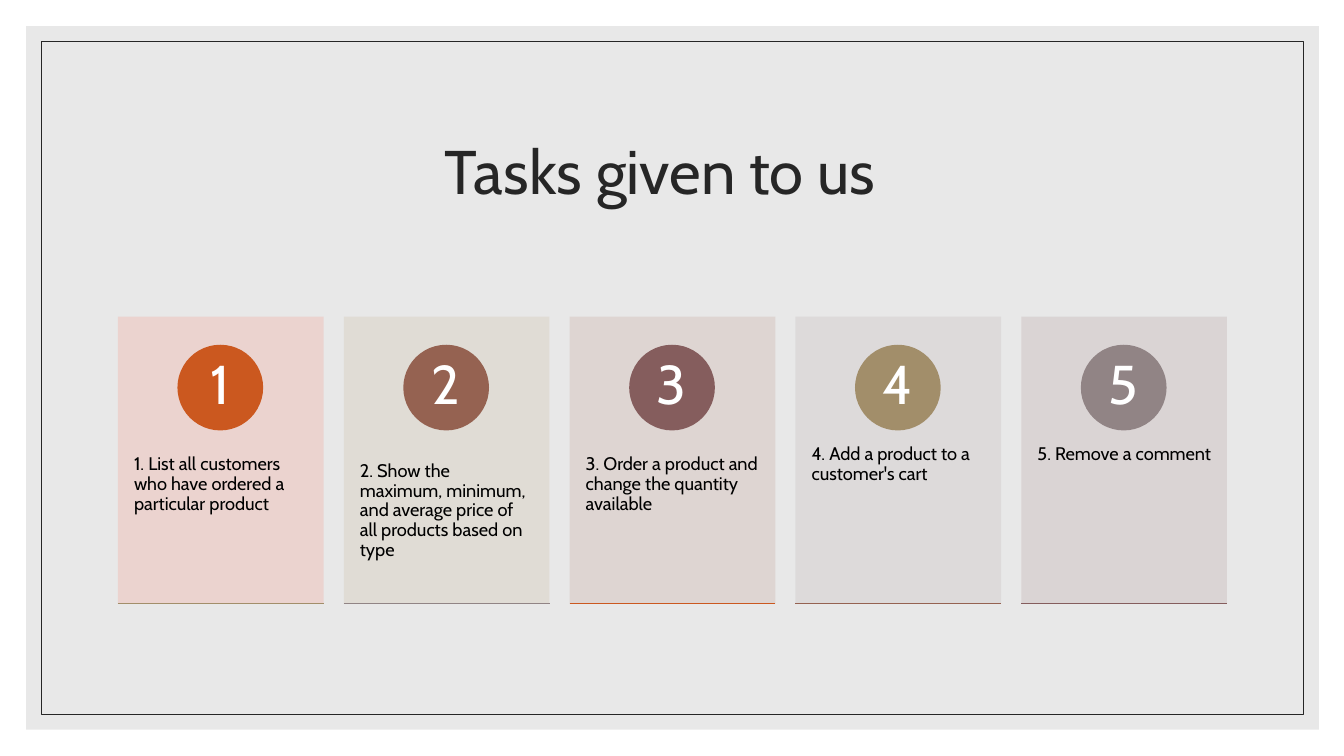
import dataclasses

import pptx
import pptx.dml.color
import pptx.enum.shapes
import pptx.enum.text
import pptx.oxml
import pptx.oxml.ns
import pptx.util

EMU_PER_PX = 9144
SHAPE = pptx.enum.shapes.MSO_SHAPE
ALIGN = pptx.enum.text.PP_ALIGN
ANCHOR = pptx.enum.text.MSO_ANCHOR


@dataclasses.dataclass(frozen=True)
class Theme:
    font: str = "Cabin"
    ink: str = "262626"
    panel: str = "D9D9D9"
    body: str = "000000"
    numeral: str = "FFFFFF"
    title_size: int = 44
    numeral_size: int = 39
    body_size: int = 13
    frame_width: float = 0.5
    rule_width: float = 1


THEME = Theme()
TASKS = [
    ("1. List all customers who have ordered a particular product", "ECD1CD", "CB581F", "A28E6A"),
    ("2. Show the maximum, minimum, and average price of all products based on type", "E0DBD4", "956251", "918485"),
    ("3. Order a product and change the quantity available", "DDD3D0", "855D5D", "CB581F"),
    ("4. Add a product to a customer's cart", "DCD9D9", "A28E6A", "956251"),
    ("5. Remove a comment", "D9D2D2", "918485", "855D5D"),
]
CARD_LEFT, CARD_TOP, CARD_WIDTH, CARD_HEIGHT = 117, 314, 204, 285
CARD_PITCH = 224
BADGE_SIZE = 85
NUMERAL_SIZE = 60


def px(*lengths):
    return [pptx.util.Emu(length * EMU_PER_PX) for length in lengths]


def rgb(color):
    return pptx.dml.color.RGBColor.from_string(color)


def set_all(target, values):
    for name, value in values.items():
        setattr(target, name, value)


def set_opacity(fill, percent):
    color = fill._xPr.find(".//" + pptx.oxml.ns.qn("a:srgbClr"))
    alpha = pptx.oxml.parse_xml(f'<a:alpha {pptx.oxml.ns.nsdecls("a")} val="{percent * 1000}"/>')
    color.append(alpha)


def add_block(shapes, kind, area, color=None, opacity=100):
    block = shapes.add_shape(kind, *px(*area))
    block.shadow.inherit = False
    block.line.fill.background()
    if color is None:
        block.fill.background()
        return block
    block.fill.solid()
    block.fill.fore_color.rgb = rgb(color)
    if opacity < 100:
        set_opacity(block.fill, opacity)
    return block


def write_text(frame, text, size, color, align, anchor):
    set_all(frame, {"word_wrap": True, "vertical_anchor": anchor})
    para = frame.paragraphs[0]
    set_all(para, {"alignment": align, "line_spacing": 0.9})
    span = para.add_run()
    span.text = text
    set_all(span.font, {"name": THEME.font, "size": pptx.util.Pt(size), "bold": False})
    span.font.color.rgb = rgb(color)


def add_label(shapes, area, inset_x, inset_y, *text_format):
    box = shapes.add_textbox(*px(*area))
    side, end = px(inset_x, inset_y)
    set_all(box.text_frame, {
        "margin_left": side, "margin_right": side,
        "margin_top": end, "margin_bottom": end,
    })
    write_text(box.text_frame, *text_format)


def add_rule(shapes, left, top, width, color):
    rule = shapes.add_connector(
        pptx.enum.shapes.MSO_CONNECTOR.STRAIGHT, *px(left, top, left + width, top))
    rule.line.color.rgb = rgb(color)
    rule.line.width = pptx.util.Pt(THEME.rule_width)
    rule._element.spPr.append(
        pptx.oxml.parse_xml(f'<a:effectLst {pptx.oxml.ns.nsdecls("a")}/>'))


def add_backdrop(page):
    add_block(page.shapes, SHAPE.RECTANGLE, (26, 26, 1282, 698), THEME.panel, 60)
    frame = add_block(page.shapes, SHAPE.RECTANGLE, (41, 41, 1252, 668))
    frame.line.color.rgb = rgb(THEME.ink)
    frame.line.width = pptx.util.Pt(THEME.frame_width)


def place_title(page, text):
    title = page.shapes.title
    left, top, width, height = px(105, 98, 1100, 150)
    set_all(title, {"left": left, "top": top, "width": width, "height": height})
    write_text(title.text_frame, text, THEME.title_size, THEME.ink, ALIGN.CENTER, ANCHOR.MIDDLE)
    page.shapes._spTree.append(title._element)


def add_task_card(page, index, text, card_color, badge_color, rule_color):
    shapes = page.shapes.add_group_shape().shapes
    left = CARD_LEFT + index * CARD_PITCH
    badge_left = left + (CARD_WIDTH - BADGE_SIZE) // 2
    badge_top = CARD_TOP + 28
    inset = (BADGE_SIZE - NUMERAL_SIZE) // 2
    add_block(shapes, SHAPE.RECTANGLE, (left, CARD_TOP, CARD_WIDTH, CARD_HEIGHT), card_color, 90)
    add_label(shapes, (left, CARD_TOP + 108, CARD_WIDTH, 171), 16, 36,
              text, THEME.body_size, THEME.body, ALIGN.LEFT, ANCHOR.TOP)
    add_block(shapes, SHAPE.OVAL, (badge_left, badge_top, BADGE_SIZE, BADGE_SIZE), badge_color)
    add_label(shapes, (badge_left + inset, badge_top + inset, NUMERAL_SIZE, NUMERAL_SIZE), 7, 1,
              str(index + 1), THEME.numeral_size, THEME.numeral, ALIGN.CENTER, ANCHOR.MIDDLE)
    add_rule(shapes, left, CARD_TOP + CARD_HEIGHT, CARD_WIDTH, rule_color)


def main():
    deck = pptx.Presentation()
    deck.slide_width, deck.slide_height = px(1333, 750)
    page = deck.slides.add_slide(deck.slide_layouts.get_by_name("Title Only"))
    add_backdrop(page)
    place_title(page, "Tasks given to us")
    for index, task in enumerate(TASKS):
        add_task_card(page, index, *task)
    deck.save("out.pptx")


if __name__ == "__main__":
    main()
